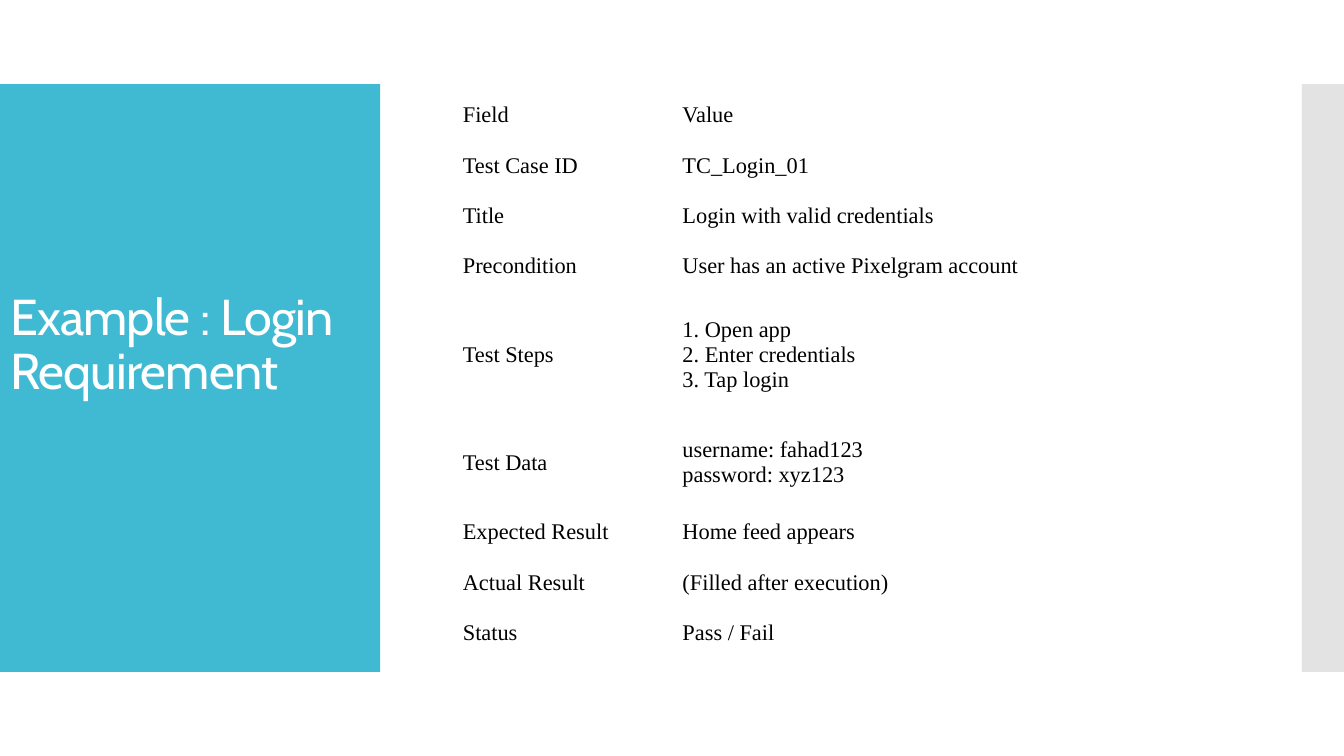
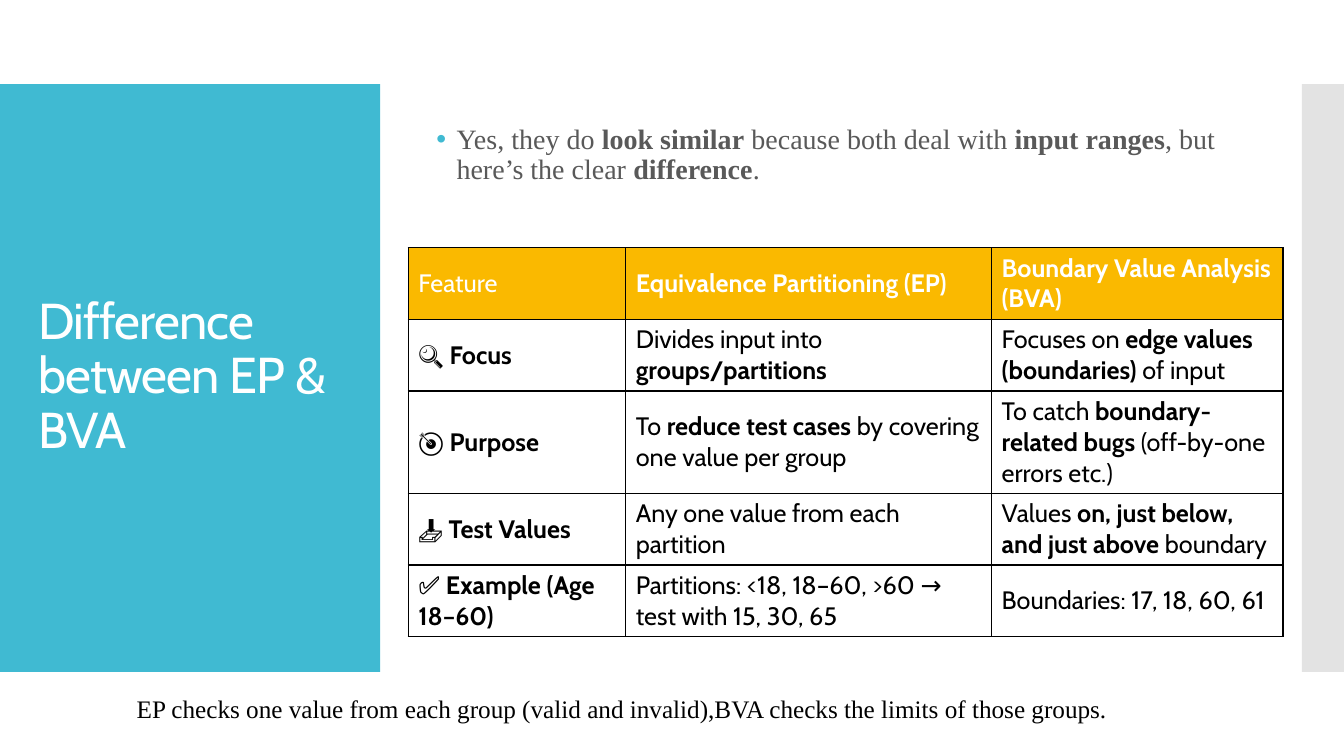
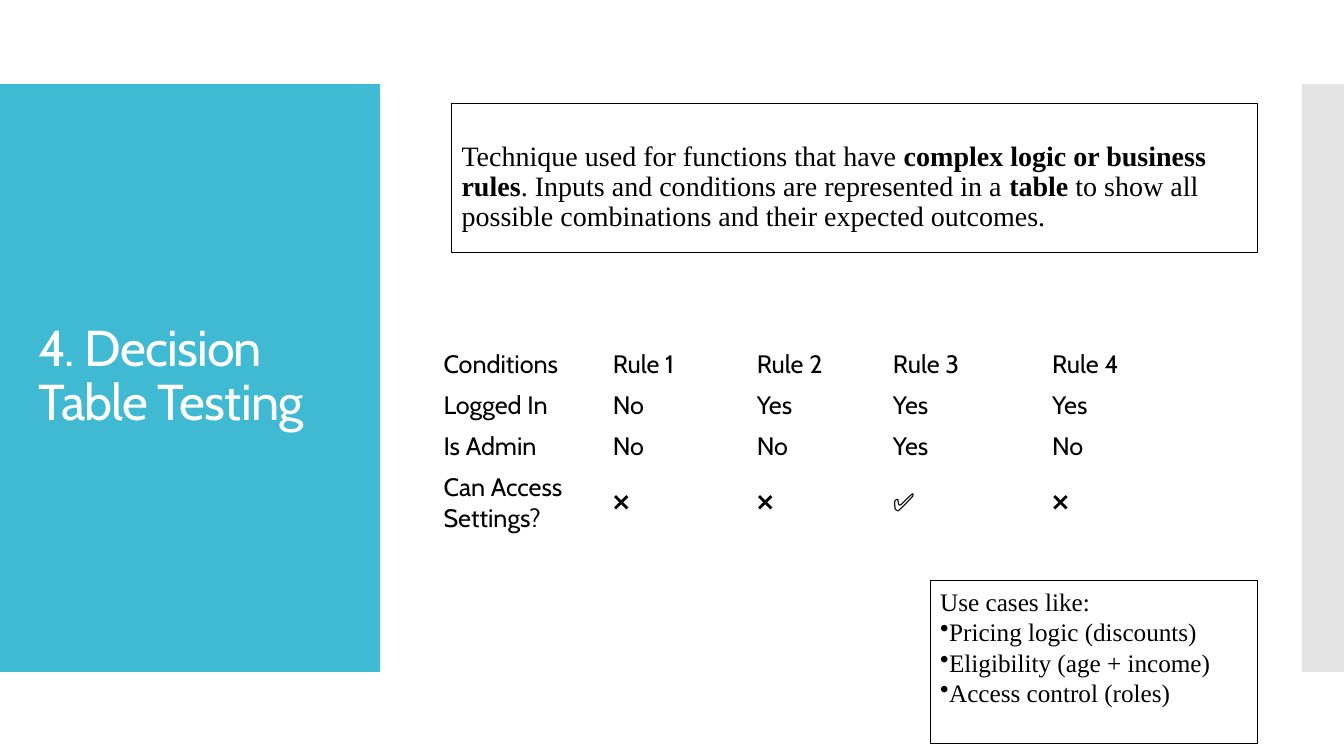
import lxml.etree
import pptx
import pptx.dml.color
import pptx.enum.shapes
import pptx.enum.text
import pptx.oxml.ns
import pptx.util

qn = pptx.oxml.ns.qn
add = lxml.etree.SubElement
middle = pptx.enum.text.MSO_ANCHOR.MIDDLE
rect = pptx.enum.shapes.MSO_SHAPE.RECTANGLE
unit = 381000
serif, sans = "Times New Roman", "Cabin"
teal, gold, grey, white, black = "40BAD2", "FAB900", "C8C8C8", "FFFFFF", "000000"


def hue(code):
    return pptx.dml.color.RGBColor.from_string(code)


def write(frame, text, font=serif, size=18, color=black, lead=1, track=0,
          dot=None, hang=0, skip=0):
    frame.word_wrap = True
    for index, line in enumerate(text.split("\n")):
        para = frame.paragraphs[0] if index == 0 else frame.add_paragraph()
        para.alignment = pptx.enum.text.PP_ALIGN.LEFT
        para.line_spacing = lead
        para.space_before = pptx.util.Pt(0)
        props = para._p.get_or_add_pPr()
        props.set("marL", str(int(hang * unit)))
        props.set("indent", str(int(-hang * unit)))
        if dot and index >= skip:
            add(add(props, qn("a:buClr")), qn("a:srgbClr"), val=dot)
            add(props, qn("a:buChar"), char="•")
        else:
            add(props, qn("a:buNone"))
        for turn, part in enumerate(line.split("*")):
            if part:
                run = para.add_run()
                run.text = part
                run.font.name = font
                run.font.size = pptx.util.Pt(size)
                run.font.bold = turn % 2 == 1
                run.font.color.rgb = hue(color)
                if track:
                    run._r.get_or_add_rPr().set("spc", str(track))


deck = pptx.Presentation()
deck.slide_width, deck.slide_height = 32 * unit, 18 * unit

titles = [
    ("Example : Login Requirement", 5, (0, 6.07, 9.24, 4.34)),
    ("Difference between EP & BVA", 1, (0.67, 2.95, 7.73, 12.07)),
    ("4. Decision Table Testing", 1, (0.67, 2.95, 7.73, 12.07)),
]
for text, form, area in titles:
    slide = deck.slides.add_slide(deck.slide_layouts[form])
    title = slide.shapes.title
    title.left, title.top, title.width, title.height = [int(n * unit) for n in area]
    title.text_frame.auto_size = pptx.enum.text.MSO_AUTO_SIZE.NONE
    title.text_frame.vertical_anchor = middle
    write(title.text_frame, text, font=sans, size=36, color=white, lead=0.9, track=-60)
login, differ, rules = deck.slides

tree = deck.slide_master.shapes._spTree
for place, (left, wide, shade) in enumerate([(0, 9.05, teal), (31, 1, grey)]):
    band = login.shapes.add_shape(rect, int(left * unit), 2 * unit, int(wide * unit), 14 * unit)
    band.shadow.inherit = False
    band.fill.solid()
    band.fill.fore_color.rgb = hue(shade)
    band.line.fill.background()
    if shade == grey:
        add(band._element.spPr.find(".//" + qn("a:srgbClr")), qn("a:alpha"), val="50000")
    tree.insert(2 + place, band._element)

point = differ.placeholders[1]
brief = rules.placeholders[1]
note = differ.shapes.add_textbox(0, 0, unit, unit)
cases = rules.shapes.add_shape(rect, 0, 0, unit, unit)
cases.shadow.inherit = False

boxes = [
    (point, (10.15, 2.26, 19.2, 2.88), 0.12, 0.12,
     "Yes, they do *look similar* because both deal with *input ranges*, "
     "but here’s the clear *difference*.",
     dict(size=20, color="595959", lead=0.9, dot=teal, hang=0.48)),
    (brief, (10.75, 2.47, 19.2, 3.55), 0.55, 0.12,
     "Technique used for functions that have *complex logic or business rules*. "
     "Inputs and conditions are represented in a *table* to show all possible "
     "combinations and their expected outcomes.",
     dict(size=20, lead=0.9)),
    (note, (3.02, 16.39, 26.02, 0.96), 0.12, 0.12,
     "EP checks one value from each group (valid and invalid),"
     "BVA checks the limits of those groups.", {}),
    (cases, (22.15, 13.82, 7.8, 3.89), 0.12, 0.84,
     "Use cases like:\nPricing logic (discounts)\nEligibility (age + income)\n"
     "Access control (roles)", dict(dot=black, skip=1)),
]
for box, area, above, below, text, form in boxes:
    box.left, box.top, box.width, box.height = [int(n * unit) for n in area]
    frame = box.text_frame
    frame.auto_size = pptx.enum.text.MSO_AUTO_SIZE.NONE
    frame.vertical_anchor = middle
    frame.margin_top, frame.margin_bottom = int(above * unit), int(below * unit)
    write(frame, text, **form)
for box in (brief, cases):
    box.fill.solid()
    box.fill.fore_color.rgb = hue(white)
    box.line.color.rgb = hue(black)
    box.line.width = pptx.util.Pt(0.85)

fields = [
    ("Field", "Value"),
    ("Test Case ID", "TC_Login_01"),
    ("Title", "Login with valid credentials"),
    ("Precondition", "User has an active Pixelgram account"),
    ("Test Steps", "1. Open app\n2. Enter credentials\n3. Tap login"),
    ("Test Data", "username: fahad123\npassword: xyz123"),
    ("Expected Result", "Home feed appears"),
    ("Actual Result", "(Filled after execution)"),
    ("Status", "Pass / Fail"),
]
traits = [
    ("Feature", "*Equivalence Partitioning (EP)*", "*Boundary Value Analysis (BVA)*"),
    ("🔍 *Focus*", "Divides input into *groups/partitions*",
     "Focuses on *edge values (boundaries)* of input"),
    ("🎯 *Purpose*", "To *reduce test cases* by covering one value per group",
     "To catch *boundary-related bugs* (off-by-one errors etc.)"),
    ("📥 *Test Values*", "Any one value from each partition",
     "Values *on, just below, and just above* boundary"),
    ("✅ *Example (Age 18–60)*", "Partitions: <18, 18–60, >60 → test with 15, 30, 65",
     "Boundaries: 17, 18, 60, 61"),
]
checks = [
    ("Conditions", "Rule 1", "Rule 2", "Rule 3", "Rule 4"),
    ("Logged In", "No", "Yes", "Yes", "Yes"),
    ("Is Admin", "No", "No", "Yes", "No"),
    ("Can Access Settings?", "❌", "❌", "✅", "❌"),
]
tables = [
    (login, fields, 10.78, 2.14, (5.23, 14.59),
     [1.2] * 4 + [3.02, 2.11] + [1.2] * 3, serif, 16, False),
    (differ, traits, 9.72, 5.9, (5.18, 8.71, 6.94), [0.9] + [1.61] * 4, sans, 18, True),
    (rules, checks, 10.32, 8.18, (4.03, 3.43, 3.24, 3.79, 5.64), [0.98] * 4, sans, 18, False),
]
for slide, data, left, top, cols, rows, font, size, ruled in tables:
    area = [int(n * unit) for n in (left, top, sum(cols), sum(rows))]
    table = slide.shapes.add_table(len(rows), len(cols), *area).table
    table.first_row = table.horz_banding = False
    style = table._tbl.tblPr.find(qn("a:tableStyleId"))
    style.text = "{2D5ABB26-0587-4C30-8999-92F81FD0307C}"
    for col, wide in zip(table.columns, cols):
        col.width = int(wide * unit)
    for y, (row, high) in enumerate(zip(table.rows, rows)):
        row.height = int(high * unit)
        head = ruled and y == 0
        for cell, text in zip(row.cells, data[y]):
            cell.vertical_anchor = middle
            write(cell.text_frame, text, font=font, size=size, color=white if head else black)
            if ruled:
                for side in ("lnL", "lnR", "lnT", "lnB"):
                    edge = add(cell._tc.get_or_add_tcPr(), qn("a:" + side), w="12700")
                    add(add(edge, qn("a:solidFill")), qn("a:srgbClr"), val=black)
            if head:
                cell.fill.solid()
                cell.fill.fore_color.rgb = hue(gold)
            else:
                cell.fill.background()

deck.save("out.pptx")
